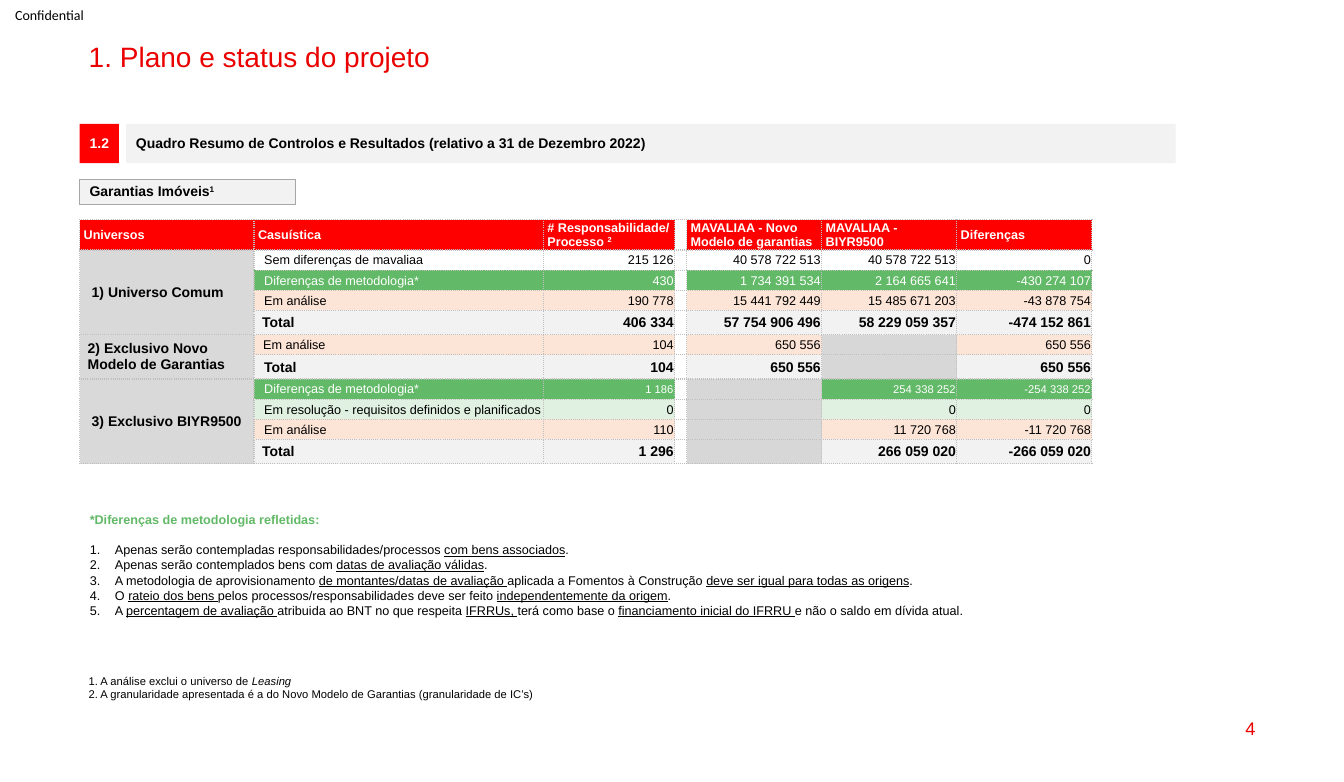
from lxml.etree import SubElement
from pptx import Presentation
from pptx.dml.color import RGBColor
from pptx.enum.shapes import MSO_SHAPE
from pptx.enum.text import MSO_ANCHOR, MSO_AUTO_SIZE, PP_ALIGN
from pptx.oxml import parse_xml
from pptx.oxml.ns import nsdecls, qn
from pptx.util import Inches, Pt

COLORS = {
    "title": "EB0000", "red": "FF0000", "white": "FFFFFF", "black": "000000",
    "panel": "F2F2F2", "outline": "A6A6A6", "dots": "BFBFBF", "universe": "D9D9D9",
    "unused": "D7D7D7", "green": "62B967", "mint": "E0F1E1", "peach": "FCE4D6",
}
KINDS = {
    "equal": (None, "black", 9, 9, False),
    "method": ("green", "white", 9, 9, False),
    "method small": ("green", "white", 9, 8, False),
    "review": ("peach", "black", 9, 9, False),
    "planned": ("mint", "black", 9, 9, False),
    "total": ("panel", "black", 10, 10, True),
}
COL_WIDTHS = [1.73, 2.87, 1.3, 0.12, 1.34, 1.34, 1.34]
ROW_HEIGHTS = [0.26, 0.2, 0.2, 0.2, 0.24, 0.2, 0.24, 0.2, 0.2, 0.2, 0.24]
HEADERS = ["Universos", "Casuística", "# Responsabilidade/\nProcesso |2|", None,
           "MAVALIAA - Novo Modelo de garantias", "MAVALIAA - BIYR9500", "Diferenças"]
UNIVERSES = [
    ("1) Universo Comum", 0.12, [
        ("equal", "Sem diferenças de mavaliaa", 0.1,
         ["215 126", "40 578 722 513", "40 578 722 513", "0"]),
        ("method", "Diferenças de metodologia*", 0.1,
         ["430", "1 734 391 534", "2 164 665 641", "-430 274 107"]),
        ("review", "Em análise", 0.1,
         ["190 778", "15 441 792 449", "15 485 671 203", "-43 878 754"]),
        ("total", "Total", 0.08,
         ["406 334", "57 754 906 496", "58 229 059 357", "-474 152 861"]),
    ]),
    ("2) Exclusivo Novo\nModelo de Garantias", 0.08, [
        ("review", "Em análise", 0.09, ["104", "650 556", None, "650 556"]),
        ("total", "Total", 0.1, ["104", "650 556", None, "650 556"]),
    ]),
    ("3) Exclusivo BIYR9500", 0.12, [
        ("method small", "Diferenças de metodologia*", 0.1,
         ["1 186", None, "254 338 252", "-254 338 252"]),
        ("planned", "Em resolução - requisitos definidos e planificados", 0.1,
         ["0", None, "0", "0"]),
        ("review", "Em análise", 0.1, ["110", None, "11 720 768", "-11 720 768"]),
        ("total", "Total", 0.08, ["1 296", None, "266 059 020", "-266 059 020"]),
    ]),
]
METHOD_NOTES = [
    "Apenas serão contempladas responsabilidades/processos |com bens associados|.",
    "Apenas serão contemplados bens com |datas de avaliação válidas|.",
    "A metodologia de aprovisionamento |de montantes/datas de avaliação |aplicada a "
    "Fomentos à Construção |deve ser igual para todas as origens|.",
    "O |rateio dos bens |pelos processos/responsabilidades deve ser feito "
    "|independentemente da origem|.",
    "A |percentagem de avaliação |atribuida ao BNT no que respeita |IFRRUs, |terá como base o "
    "|financiamento inicial do IFRRU |e não o saldo em dívida atual.",
]


def rgb(name):
    return RGBColor.from_string(COLORS[name])


def place(sp, left, top, width, height):
    sp.left, sp.top, sp.width, sp.height = map(Inches, (left, top, width, height))


def add_runs(p, text, size, color, bold=False, mark="super", font="Arial"):
    for i, part in enumerate(text.split("|")):
        if not part:
            continue
        r = p.add_run()
        r.text = part
        f = r.font
        f.name, f.size, f.bold = font, Pt(size), bold
        f.color.rgb = rgb(color)
        if i % 2:
            if mark == "super":
                r._r.get_or_add_rPr().set("baseline", "30000")
            elif mark == "underline":
                f.underline = True
            else:
                f.italic = True


def write(tf, text, size, color, align=PP_ALIGN.LEFT, spacing=1.0, **style):
    for i, line in enumerate(text.split("\n")):
        p = tf.add_paragraph() if i else tf.paragraphs[0]
        p.alignment, p.line_spacing = align, spacing
        add_runs(p, line, size, color, **style)


def add_label(s, box, text, size, color, anchor=MSO_ANCHOR.TOP, **style):
    sp = s.shapes.add_textbox(*map(Inches, box))
    tf = sp.text_frame
    tf.word_wrap, tf.vertical_anchor = True, anchor
    write(tf, text, size, color, **style)
    return sp


def add_bar(s, box, text, fill, color, outline=None, align=PP_ALIGN.LEFT):
    sp = s.shapes.add_shape(MSO_SHAPE.RECTANGLE, *map(Inches, box))
    sp.shadow.inherit = False
    sp.fill.solid()
    sp.fill.fore_color.rgb = rgb(fill)
    if outline:
        sp.line.color.rgb = rgb(outline)
        sp.line.width = Pt(0.75)
    else:
        sp.line.fill.background()
    sp.text_frame.vertical_anchor = MSO_ANCHOR.MIDDLE
    write(sp.text_frame, text, 10, color, align=align, spacing=0.9, bold=True)


def add_borders(cell):
    tc_pr = cell._tc.get_or_add_tcPr()
    for i, side in enumerate(("lnL", "lnR", "lnT", "lnB")):
        tc_pr.insert(i, parse_xml(
            f'<a:{side} {nsdecls("a")} w="12700"><a:solidFill><a:srgbClr val="{COLORS["dots"]}"/>'
            f'</a:solidFill><a:prstDash val="sysDot"/></a:{side}>'))


def fill_cell(cell, text, fill, size, color, bold, margins, align=PP_ALIGN.LEFT):
    cell.vertical_anchor = MSO_ANCHOR.MIDDLE
    cell.margin_left, cell.margin_top, cell.margin_right, cell.margin_bottom = map(Inches, margins)
    if fill:
        cell.fill.solid()
        cell.fill.fore_color.rgb = rgb(fill)
    else:
        cell.fill.background()
    if text:
        write(cell.text_frame, text, size, color, align=align, bold=bold)
    else:
        SubElement(cell.text_frame.paragraphs[0]._p, qn("a:endParaRPr")).set("sz", "800")


def add_summary_table(s):
    frame = s.shapes.add_table(len(ROW_HEIGHTS), len(COL_WIDTHS), Inches(0.79), Inches(2.18),
                               Inches(sum(COL_WIDTHS)), Inches(sum(ROW_HEIGHTS)))
    table = frame.table
    table.first_row = table.horz_banding = False
    for col, width in zip(table.columns, COL_WIDTHS):
        col.width = Inches(width)
    for row, height in zip(table.rows, ROW_HEIGHTS):
        row.height = Inches(height)
    for c, header in enumerate(HEADERS):
        fill_cell(table.cell(0, c), header, "red" if header else None, 9, "white", True,
                  (0.04, 0, 0.04, 0))
    top = 1
    for universe, indent, rows in UNIVERSES:
        for r, (kind, label, label_indent, values) in enumerate(rows, top):
            fill, color, label_size, value_size, bold = KINDS[kind]
            fill_cell(table.cell(r, 0), universe if r == top else None, "universe", 10, "black",
                      True, (indent, 0, 0.04, 0))
            fill_cell(table.cell(r, 1), label, fill, label_size, color, bold,
                      (label_indent, 0.01, 0.01, 0))
            fill_cell(table.cell(r, 3), None, None, 8, color, False, (0, 0, 0, 0))
            for c, value in zip((2, 4, 5, 6), values):
                fill_cell(table.cell(r, c), value, fill if value else "unused", value_size, color,
                          bold, (0.01, 0.01, 0.01, 0), PP_ALIGN.RIGHT)
        table.cell(top, 0).merge(table.cell(top + len(rows) - 1, 0))
        top += len(rows)
    for cell in table.iter_cells():
        add_borders(cell)


def fill_method_notes(sp):
    place(sp, 0.79, 5.03, 10.55, 1.5)
    tf = sp.text_frame
    tf.auto_size, tf.vertical_anchor = MSO_AUTO_SIZE.NONE, MSO_ANCHOR.TOP
    write(tf, "*Diferenças de metodologia refletidas:", 9, "green", bold=True)
    p_pr = tf.paragraphs[0]._p.get_or_add_pPr()
    p_pr.set("marL", "0")
    p_pr.set("indent", "0")
    tf.paragraphs[0].space_before = Pt(0)
    SubElement(p_pr, qn("a:buNone"))
    for i, note in enumerate(METHOD_NOTES):
        p = tf.add_paragraph()
        p.space_before = Pt(0 if i else 10.8)
        p_pr = p._p.get_or_add_pPr()
        p_pr.set("marL", str(Inches(0.25)))
        p_pr.set("indent", str(-Inches(0.25)))
        SubElement(p_pr, qn("a:buFont")).set("typeface", "+mj-lt")
        SubElement(p_pr, qn("a:buAutoNum")).set("type", "arabicPeriod")
        add_runs(p, note, 9, "black", mark="underline")


def main():
    prs = Presentation()
    prs.slide_width, prs.slide_height = Inches(13.33), Inches(7.76)
    s = prs.slides.add_slide(prs.slide_layouts[1])
    title = s.shapes.title
    place(title, 0.78, 0.38, 11.77, 0.34)
    title.text_frame.auto_size = MSO_AUTO_SIZE.NONE
    title.text_frame.vertical_anchor = MSO_ANCHOR.TOP
    write(title.text_frame, "1. Plano e status do projeto", 20, "title", spacing=0.9)
    sp = add_label(s, (0, 0, 0.99, 0.29), "Confidential", 10, "black", MSO_ANCHOR.MIDDLE,
                   font="Calibri")
    sp.text_frame.margin_left, sp.text_frame.margin_right = Inches(0.15), 0
    add_label(s, (9.55, 7.02, 3, 0.41), "4", 13, "title", MSO_ANCHOR.MIDDLE, align=PP_ALIGN.RIGHT)
    add_bar(s, (0.79, 1.23, 0.39, 0.39), "1.2", "red", "white", align=PP_ALIGN.CENTER)
    add_bar(s, (1.25, 1.23, 10.41, 0.39),
            "Quadro Resumo de Controlos e Resultados (relativo a 31 de Dezembro 2022)",
            "panel", "black")
    add_bar(s, (0.79, 1.78, 2.14, 0.25), "Garantias Imóveis|1|", "panel", "black", "outline")
    add_summary_table(s)
    fill_method_notes(s.placeholders[1])
    add_label(s, (0.78, 6.64, 4.75, 0.37),
              "1. A análise exclui o universo de |Leasing|\n2. A granularidade apresentada é a do "
              "Novo Modelo de Garantias (granularidade de IC’s)", 8, "black", mark="italic")
    prs.save("out.pptx")


if __name__ == "__main__":
    main()
